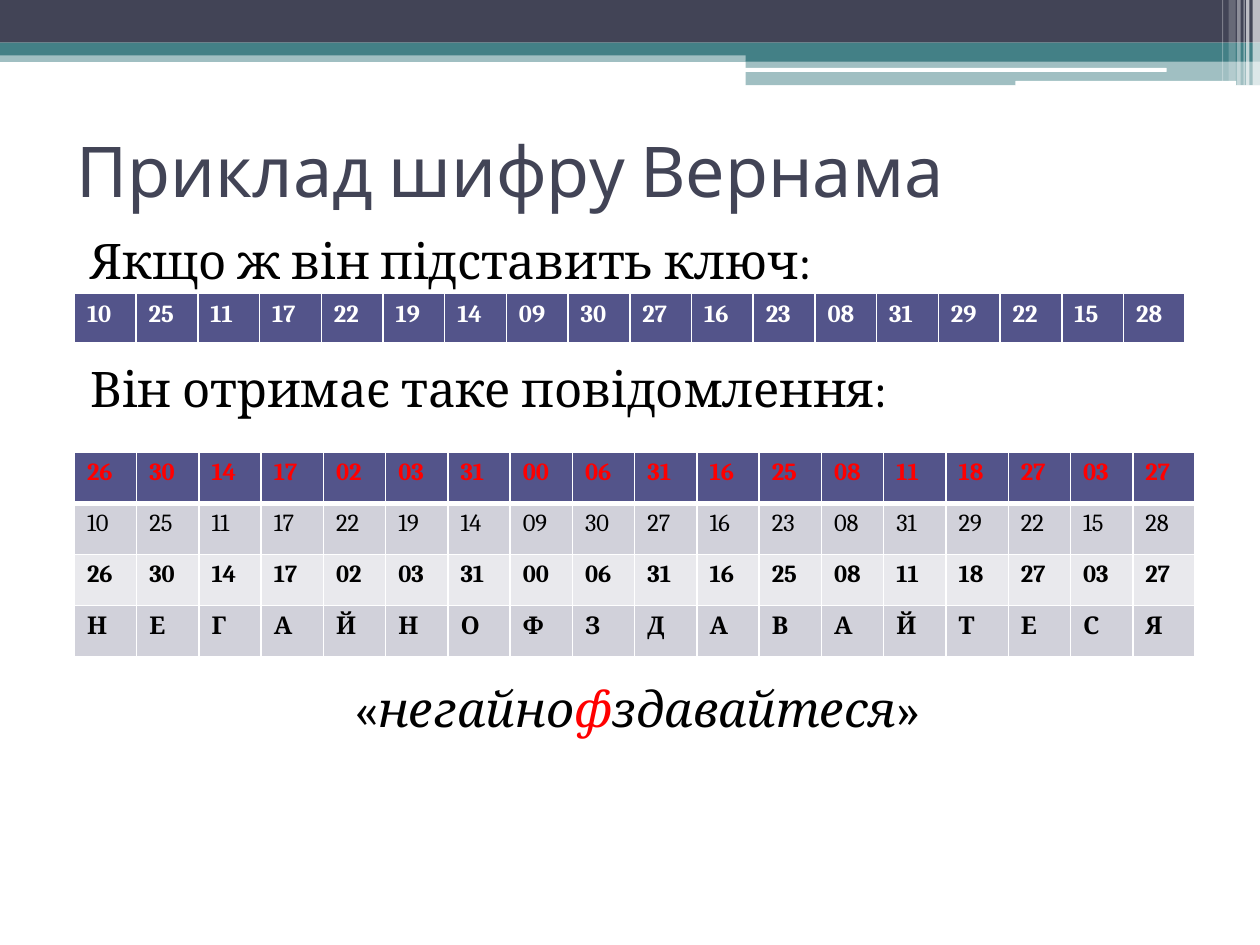
from dataclasses import dataclass

from lxml.etree import SubElement
from pptx import Presentation
from pptx.dml.color import RGBColor as Rgb
from pptx.enum.shapes import MSO_SHAPE as Shape
from pptx.enum.text import MSO_ANCHOR as Anchor, PP_ALIGN as Align
from pptx.oxml.ns import qn
from pptx.util import Cm, Pt


@dataclass(frozen=True)
class Theme:
    navy: str = "424456"
    teal: str = "438086"
    white: str = "FFFFFF"
    black: str = "000000"
    red: str = "FF0000"
    header: str = "53548A"
    dark_row: str = "D1D1DA"
    light_row: str = "E9E9ED"
    title_font: str = "Cabin"
    body_font: str = "Cambria"
    title_size: int = 40
    body_size: int = 28
    cell_size: int = 14


@dataclass
class Row:
    values: list
    fill: str
    color: str
    bold: bool = True


class SlideBuilder:
    def __init__(self, slide, theme):
        self.slide = slide
        self.theme = theme

    def block(self, left, top, width, height, color, opacity=100, kind=Shape.RECTANGLE):
        block = self.slide.shapes.add_shape(kind, Cm(left), Cm(top), Cm(width), Cm(height))
        block.shadow.inherit = False
        block.line.fill.background()
        block.fill.solid()
        block.fill.fore_color.rgb = Rgb.from_string(color)
        if opacity < 100:
            tint = block.fill._xPr.find(qn("a:solidFill"))[0]
            SubElement(tint, qn("a:alpha"), val=str(opacity * 1000))

    def text_frame(self, left, top, width, height, anchor=Anchor.TOP):
        box = self.slide.shapes.add_textbox(Cm(left), Cm(top), Cm(width), Cm(height))
        frame = box.text_frame
        frame.word_wrap = True
        frame.vertical_anchor = anchor
        return frame

    def span(self, para, text, font, size, color, bold=False, italic=False):
        span = para.add_run()
        span.text = text
        span.font.name = font
        span.font.size = Pt(size)
        span.font.bold = bold
        span.font.italic = italic
        span.font.color.rgb = Rgb.from_string(color)

    def title(self, text, *place):
        para = self.text_frame(*place, anchor=Anchor.MIDDLE).paragraphs[0]
        self.span(para, text, self.theme.title_font, self.theme.title_size, self.theme.navy)

    def body(self, lines, *place):
        frame = self.text_frame(*place)
        for index, (gap, align, spans) in enumerate(lines):
            para = frame.add_paragraph() if index else frame.paragraphs[0]
            para.space_before = Pt(gap)
            para.alignment = align
            para._p.get_or_add_pPr().set("marL", str(Cm(0.3)))
            for text, color, italic in spans:
                self.span(para, text, self.theme.body_font, self.theme.body_size,
                          color, italic=italic)

    def border(self, cell, edge, width):
        line = SubElement(cell._tc.get_or_add_tcPr(), qn(f"a:{edge}"), w=str(Pt(width)))
        fill = SubElement(line, qn("a:solidFill"))
        SubElement(fill, qn("a:srgbClr"), val=self.theme.white)

    def table(self, rows, left, top, width, row_height):
        count = len(rows[0].values)
        table = self.slide.shapes.add_table(
            len(rows), count, Cm(left), Cm(top), Cm(width), Cm(row_height * len(rows))).table
        for column in table.columns:
            column.width = Cm(width / count)
        for index, row in enumerate(rows):
            table.rows[index].height = Cm(row_height)
            edges = {"lnL": 1, "lnR": 1, "lnT": 3 if index == 1 else 1,
                     "lnB": 3 if index == 0 else 1}
            for cell, value in zip(table.rows[index].cells, row.values):
                for edge, weight in edges.items():
                    self.border(cell, edge, weight)
                cell.fill.solid()
                cell.fill.fore_color.rgb = Rgb.from_string(row.fill)
                self.span(cell.text_frame.paragraphs[0], value, self.theme.body_font,
                          self.theme.cell_size, row.color, row.bold)


def draw_banner(builder, theme):
    builder.block(0, 1.02, 25.4, 0.23, theme.teal, 50)
    builder.block(0, 0, 25.4, 0.86, theme.navy)
    builder.block(0, 0.86, 25.4, 0.26, theme.teal)
    builder.block(15.03, 0.99, 10.37, 0.25, theme.teal)
    builder.block(15.03, 1.22, 10.37, 0.5, theme.teal, 50)
    builder.block(15.01, 1.37, 8.51, 0.08, theme.white, kind=Shape.ROUNDED_RECTANGLE)
    builder.block(20.47, 1.63, 4.45, 0.1, theme.white, kind=Shape.ROUNDED_RECTANGLE)
    stripes = [(25.25, 0.15, 1.73, 65), (25.12, 0.07, 1.73, 65), (25.07, 0.02, 1.73, 60),
               (24.94, 0.07, 1.73, 40), (24.77, 0.14, 1.63, 20), (24.64, 0.02, 1.63, 30)]
    for left, width, height, opacity in stripes:
        builder.block(left, 0, width, height, theme.white, opacity)


def main():
    theme = Theme()
    deck = Presentation()
    deck.slide_width, deck.slide_height = Cm(25.4), Cm(19.05)
    builder = SlideBuilder(deck.slides.add_slide(deck.slide_layouts[6]), theme)

    draw_banner(builder, theme)
    builder.title("Приклад шифру Вернама", 1.3, 1.93, 22.86, 2.97)
    builder.body([
        (3, Align.LEFT, [("Якщо ж він підставить ключ:", theme.black, False)]),
        (39.6, Align.LEFT, [("Він отримає таке повідомлення:", theme.black, False)]),
        (149.3, Align.CENTER, [("«", theme.black, False),
                               ("негайно", theme.black, True),
                               ("ф", theme.red, True),
                               ("здавайтеся", theme.black, True),
                               ("»", theme.black, False)]),
    ], 1.27, 4.52, 22.86, 13.74)

    key = "10 25 11 17 22 19 14 09 30 27 16 23 08 31 29 22 15 28".split()
    cipher = "26 30 14 17 02 03 31 00 06 31 16 25 08 11 18 27 03 27".split()
    message = list("НЕГАЙНОФЗДАВАЙТЕСЯ")
    builder.table([
        Row(cipher, theme.header, theme.red),
        Row(key, theme.dark_row, theme.black, bold=False),
        Row(cipher, theme.light_row, theme.black),
        Row(message, theme.dark_row, theme.black),
    ], 1.5, 9.12, 22.6, 1.03)
    builder.table([Row(key, theme.header, theme.white)], 1.5, 5.92, 22.4, 1.03)

    deck.save("out.pptx")


if __name__ == "__main__":
    main()
